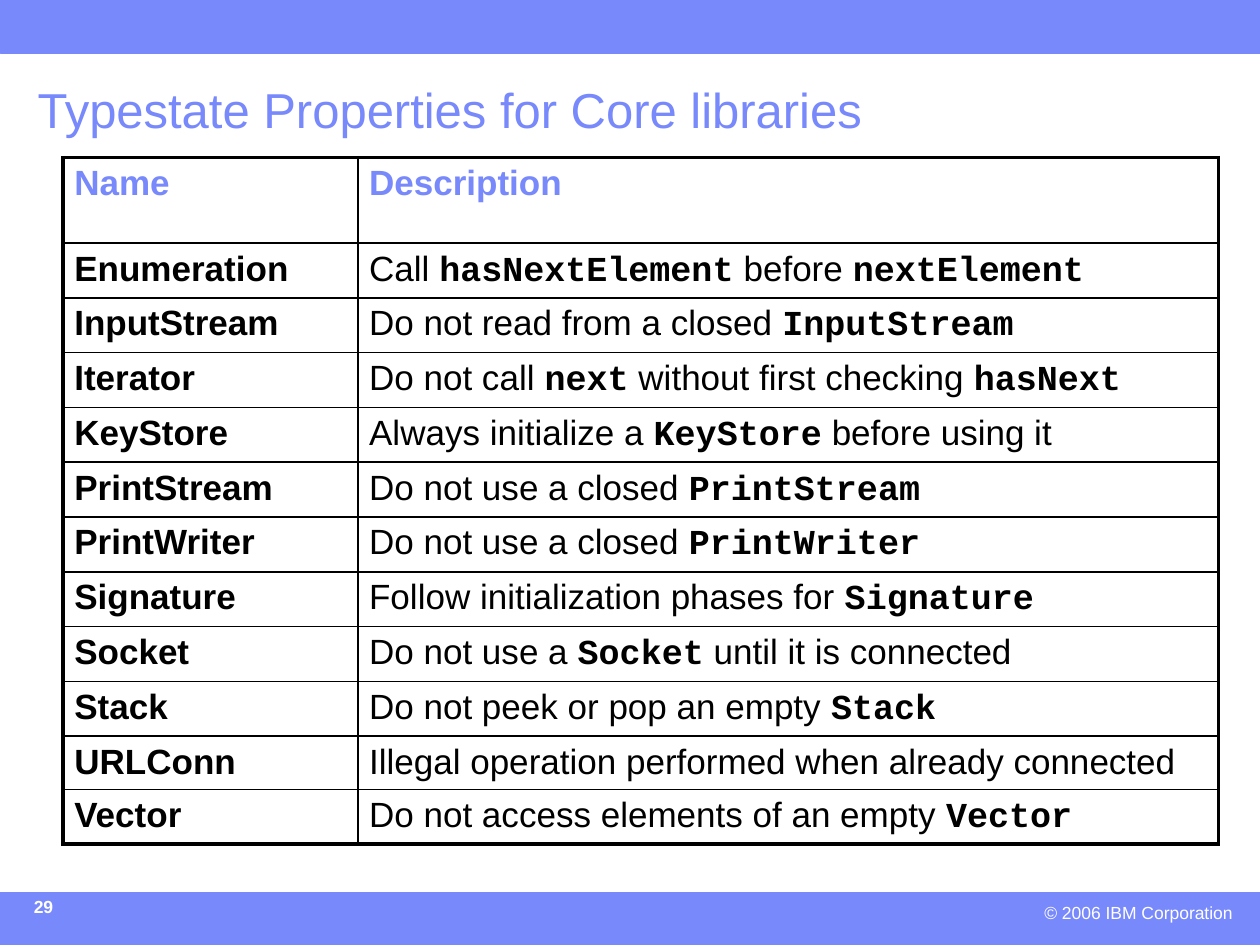
import pptx
import pptx.util
import pptx.dml.color
import pptx.enum.shapes
import pptx.enum.text
import pptx.oxml.ns
import lxml.etree
from dataclasses import dataclass

TITLE = "Typestate Properties for Core libraries"
COPYRIGHT = "© 2006 IBM Corporation"
PAGE_NUMBER = "29"
HEADINGS = ("Name", "Description")
PROPERTIES = [
    ("Enumeration", "Call `hasNextElement` before `nextElement`"),
    ("InputStream", "Do not read from a closed `InputStream`"),
    ("Iterator", "Do not call `next` without first checking `hasNext`"),
    ("KeyStore", "Always initialize a `KeyStore` before using it"),
    ("PrintStream", "Do not use a closed `PrintStream`"),
    ("PrintWriter", "Do not use a closed `PrintWriter`"),
    ("Signature", "Follow initialization phases for `Signature`"),
    ("Socket", "Do not use a `Socket` until it is connected"),
    ("Stack", "Do not peek or pop an empty `Stack`"),
    ("URLConn", "Illegal operation performed when already connected"),
    ("Vector", "Do not access elements of an empty `Vector`"),
]


@dataclass(frozen=True)
class Theme:
    accent: str = "7889FB"
    ink: str = "000000"
    paper: str = "FFFFFF"
    body_font: str = "Arial"
    code_font: str = "Courier New"
    title_size: float = 28
    table_size: float = 20
    footer_size: float = 10
    outer_border: float = 2.25
    inner_border: float = 1


THEME = Theme()
Inches = pptx.util.Inches
Pt = pptx.util.Pt
ALIGN = pptx.enum.text.PP_ALIGN
ANCHOR = pptx.enum.text.MSO_ANCHOR


def color(value):
    return pptx.dml.color.RGBColor.from_string(value)


def add_span(para, text, size, ink, bold=False, font=THEME.body_font):
    span = para.add_run()
    span.text = text
    span.font.name = font
    span.font.size = Pt(size)
    span.font.bold = bold
    span.font.color.rgb = color(ink)


def add_band(page, top, height):
    band = page.shapes.add_shape(
        pptx.enum.shapes.MSO_SHAPE.RECTANGLE, 0, top, Inches(10), height)
    band.shadow.inherit = False
    band.fill.solid()
    band.fill.fore_color.rgb = color(THEME.accent)
    band.line.color.rgb = color(THEME.accent)
    band.line.width = Pt(0.25)


def add_label(page, place, text, size, ink, bold=False, align=ALIGN.LEFT):
    box = page.shapes.add_textbox(*map(Inches, place))
    box.text_frame.word_wrap = True
    para = box.text_frame.paragraphs[0]
    para.alignment = align
    add_span(para, text, size, ink, bold)
    return box


def set_borders(cell, outer_sides):
    properties = cell._tc.get_or_add_tcPr()
    qn = pptx.oxml.ns.qn
    for position, side in enumerate("LRTB"):
        width = THEME.outer_border if side in outer_sides else THEME.inner_border
        line = lxml.etree.Element(qn(f"a:ln{side}"), w=str(Pt(width)))
        fill = lxml.etree.SubElement(line, qn("a:solidFill"))
        lxml.etree.SubElement(fill, qn("a:srgbClr"), val=THEME.ink)
        properties.insert(position, line)


def add_property_table(page):
    rows = [HEADINGS] + PROPERTIES
    widths = (Inches(2.34), Inches(6.83))
    height, header_height, plain_height = Inches(5.44), Inches(0.68), Inches(0.41)
    code_rows = sum("`" in description for _, description in PROPERTIES)
    code_height = (height - header_height - plain_height) // code_rows
    frame = page.shapes.add_table(
        len(rows), len(widths), Inches(0.5), Inches(1.25), sum(widths), height)
    table = frame.table
    table.first_row = False
    table.horz_banding = False
    for column, width in zip(table.columns, widths):
        column.width = width
    for row_index, texts in enumerate(rows):
        heading = row_index == 0
        table.rows[row_index].height = (
            header_height if heading
            else code_height if "`" in texts[1] else plain_height)
        for column_index, text in enumerate(texts):
            cell = table.cell(row_index, column_index)
            cell.fill.background()
            cell.margin_left = cell.margin_right = Inches(0.09)
            cell.margin_top, cell.margin_bottom = Inches(0.05), Inches(0.04)
            outer = "LR"[column_index]
            outer += "T" if heading else ""
            outer += "B" if row_index == len(rows) - 1 else ""
            set_borders(cell, outer)
            para = cell.text_frame.paragraphs[0]
            ink = THEME.accent if heading else THEME.ink
            for index, part in enumerate(text.split("`")):
                code = index % 2 == 1
                if part:
                    add_span(para, part, THEME.table_size, ink,
                             heading or column_index == 0 or code,
                             THEME.code_font if code else THEME.body_font)


def main():
    deck = pptx.Presentation()
    deck.slide_width, deck.slide_height = Inches(10), Inches(7.5)
    page = deck.slides.add_slide(deck.slide_layouts[6])
    band_height = Inches(0.42)
    for top in (0, deck.slide_height - band_height):
        add_band(page, top, band_height)
    add_label(page, (6.26, 7.11, 3.62, 0.27), COPYRIGHT,
              THEME.footer_size, THEME.paper, align=ALIGN.RIGHT)
    number = add_label(page, (0.17, 7.11, 1.1, 0.35), PAGE_NUMBER,
                       THEME.footer_size, THEME.paper, bold=True)
    number.text_frame.margin_top = 0
    title = add_label(page, (0.2, 0.6, 9.02, 0.55), TITLE,
                      THEME.title_size, THEME.accent)
    title.text_frame.vertical_anchor = ANCHOR.BOTTOM
    title.text_frame.paragraphs[0].line_spacing = 0.9
    add_property_table(page)
    deck.save("out.pptx")


if __name__ == "__main__":
    main()
